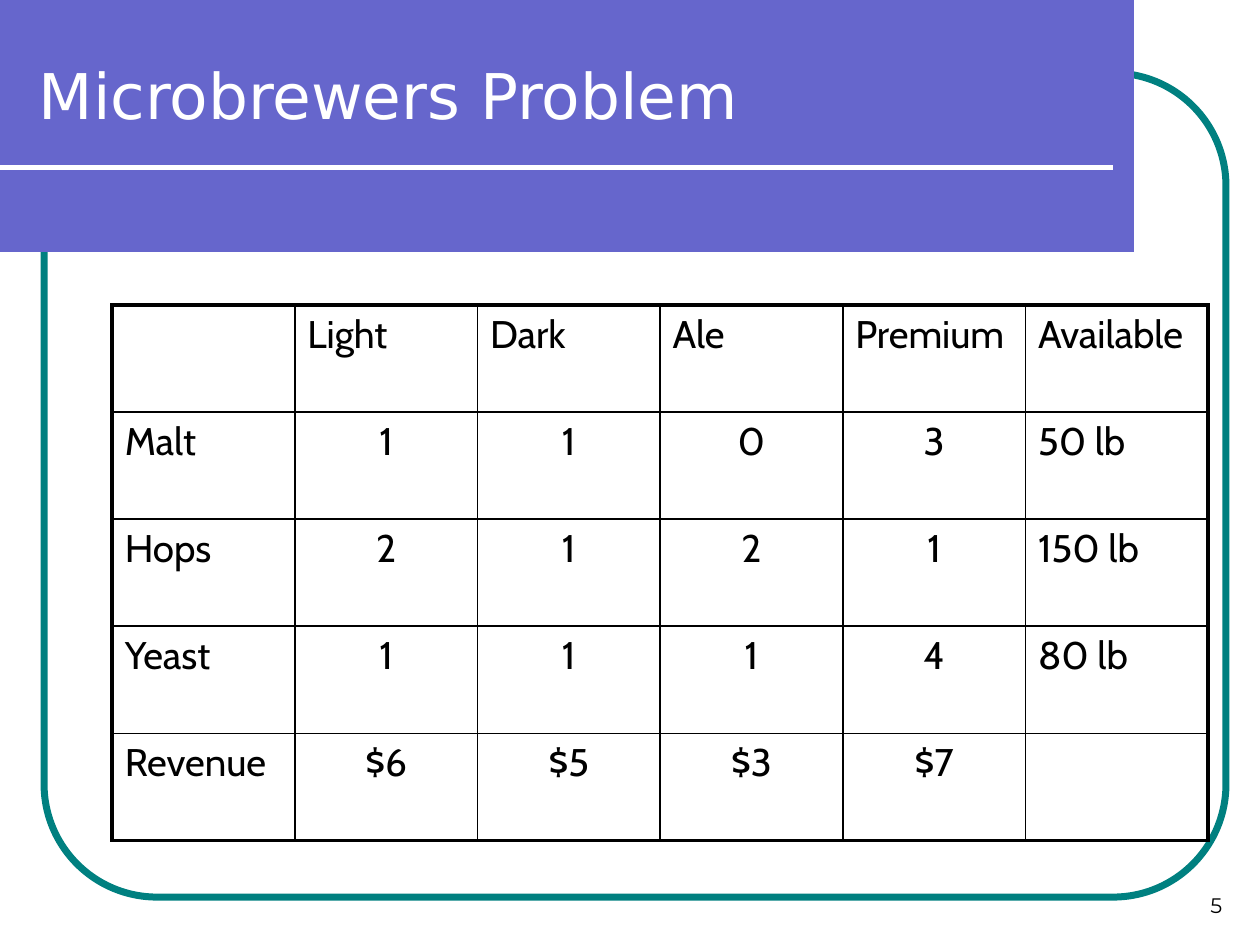
from dataclasses import dataclass
from math import cos, pi, sin

from lxml import etree
from pptx import Presentation
from pptx.dml.color import RGBColor
from pptx.enum.shapes import MSO_CONNECTOR, MSO_SHAPE
from pptx.enum.text import MSO_ANCHOR, PP_ALIGN
from pptx.oxml.ns import qn
from pptx.util import Inches, Pt

ROUNDED = MSO_SHAPE.ROUNDED_RECTANGLE
STRAIGHT = MSO_CONNECTOR.STRAIGHT
MIDDLE, BOTTOM = MSO_ANCHOR.MIDDLE, MSO_ANCHOR.BOTTOM
LEFT, CENTER, RIGHT = PP_ALIGN.LEFT, PP_ALIGN.CENTER, PP_ALIGN.RIGHT


@dataclass(frozen=True)
class Theme:
    ink: str = "000000"
    paper: str = "FFFFFF"
    banner: str = "6666CC"
    frame: str = "008080"
    inner_border: float = 1
    outer_border: float = 2.25


@dataclass(frozen=True)
class TextStyle:
    font: str
    size: float
    color: str


@dataclass(frozen=True)
class Label:
    text: str
    left: float
    top: float
    width: float
    height: float
    style: TextStyle
    align: PP_ALIGN
    anchor: MSO_ANCHOR


THEME = Theme()
TITLE = TextStyle("DejaVu Sans", 36, THEME.paper)
BODY = TextStyle("Cabin", 22, THEME.ink)
NUMBER = TextStyle("Montserrat", 12, THEME.ink)

LABELS = [
    Label("5", 7.47, 6.83, 2.33, 0.5, NUMBER, RIGHT, BOTTOM),
    Label("Microbrewers Problem", 0.21, 0.25, 8.77, 1, TITLE, LEFT, MIDDLE),
]
RECIPES = [
    ["", "Light", "Dark", "Ale", "Premium", "Available"],
    ["Malt", "1", "1", "0", "3", "50 lb"],
    ["Hops", "2", "1", "2", "1", "150 lb"],
    ["Yeast", "1", "1", "1", "4", "80 lb"],
    ["Revenue", "$6", "$5", "$3", "$7", ""],
]
TABLE_LEFT, TABLE_TOP = 0.89, 2.42
COLUMN_WIDTH, ROW_HEIGHT = 1.45, 0.85


def rgb(color: str) -> RGBColor:
    return RGBColor.from_string(color)


def style_paragraph(paragraph, style: TextStyle, align: PP_ALIGN) -> None:
    paragraph.alignment = align
    paragraph.font.name = style.font
    paragraph.font.size = Pt(style.size)
    paragraph.font.color.rgb = rgb(style.color)


def draw_frame(slide) -> None:
    frame = slide.shapes.add_shape(
        ROUNDED, Inches(0.35), Inches(0.58), Inches(9.38), Inches(6.54))
    frame.adjustments[0] = 0.137
    frame.shadow.inherit = False
    frame.fill.background()
    frame.line.color.rgb = rgb(THEME.frame)
    frame.line.width = Pt(4)


def draw_banner(slide, top: float, bottom: float, right: float) -> None:
    """A band from the left edge that ends in a half circle."""
    radius = (bottom - top) / 2
    center_x, center_y, steps = right - radius, top + radius, 60
    angles = [pi * step / steps - pi / 2 for step in range(steps + 1)]
    arc = [(center_x + radius * cos(a), center_y + radius * sin(a)) for a in angles]
    outline = slide.shapes.build_freeform(0, top, scale=Inches(1))
    outline.add_line_segments(arc + [(0, bottom)], close=True)
    banner = outline.convert_to_shape()
    banner.shadow.inherit = False
    banner.fill.solid()
    banner.fill.fore_color.rgb = rgb(THEME.banner)
    banner.line.fill.background()


def draw_rule(slide, y: float, right: float) -> None:
    rule = slide.shapes.add_connector(STRAIGHT, 0, Inches(y), Inches(right), Inches(y))
    rule.line.color.rgb = rgb(THEME.paper)
    rule.line.width = Pt(3)
    etree.SubElement(rule._element.spPr, qn("a:effectLst"))


def draw_label(slide, label: Label) -> None:
    box = slide.shapes.add_textbox(
        Inches(label.left), Inches(label.top), Inches(label.width), Inches(label.height))
    frame = box.text_frame
    frame.word_wrap = True
    frame.vertical_anchor = label.anchor
    frame.text = label.text
    style_paragraph(frame.paragraphs[0], label.style, label.align)


def set_borders(cell, outer_sides: dict[str, bool]) -> None:
    properties = cell._tc.get_or_add_tcPr()
    for side, is_outer in outer_sides.items():
        width = THEME.outer_border if is_outer else THEME.inner_border
        border = etree.SubElement(properties, qn(f"a:ln{side}"), w=str(Pt(width)))
        fill = etree.SubElement(border, qn("a:solidFill"))
        etree.SubElement(fill, qn("a:srgbClr"), val=THEME.ink)


def draw_table(slide, rows: list[list[str]]) -> None:
    last_row, last_column = len(rows) - 1, len(rows[0]) - 1
    table = slide.shapes.add_table(
        len(rows), len(rows[0]), Inches(TABLE_LEFT), Inches(TABLE_TOP),
        Inches(COLUMN_WIDTH * len(rows[0])), Inches(ROW_HEIGHT * len(rows))).table
    table.first_row = table.horz_banding = False
    for r, row in enumerate(rows):
        for c, text in enumerate(row):
            cell = table.cell(r, c)
            set_borders(cell, {"L": c == 0, "R": c == last_column,
                               "T": r == 0, "B": r == last_row})
            cell.fill.background()
            cell.text = text
            is_amount = r > 0 and 0 < c < last_column
            style_paragraph(cell.text_frame.paragraphs[0], BODY,
                            CENTER if is_amount else LEFT)


def main() -> None:
    deck = Presentation()
    deck.slide_width, deck.slide_height = Inches(10), Inches(7.5)
    slide = deck.slides.add_slide(deck.slide_layouts[6])

    # Backdrop
    draw_frame(slide)
    draw_banner(slide, top=0.17, bottom=1.5, right=9.33)
    draw_rule(slide, y=1.33, right=8.83)

    # Page number and title
    for label in LABELS:
        draw_label(slide, label)

    # Ingredients per beer
    draw_table(slide, RECIPES)

    deck.save("out.pptx")


if __name__ == "__main__":
    main()
